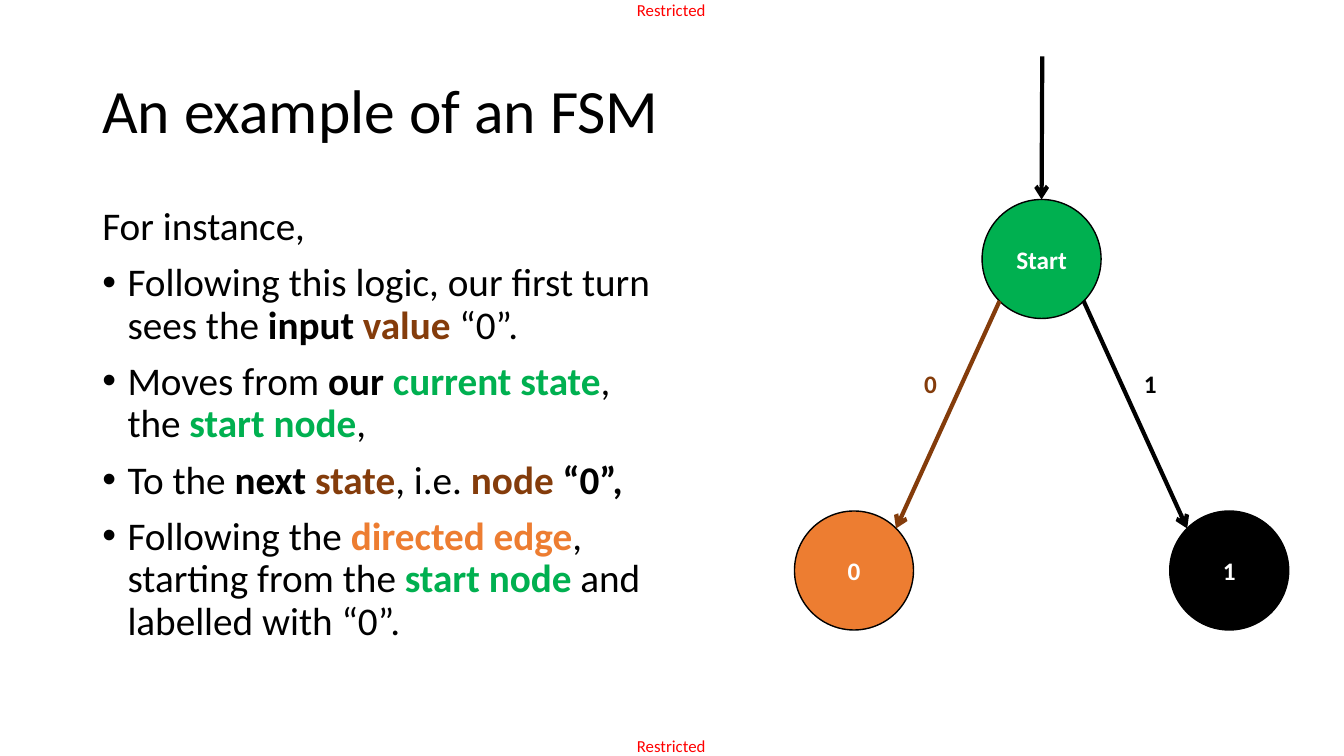
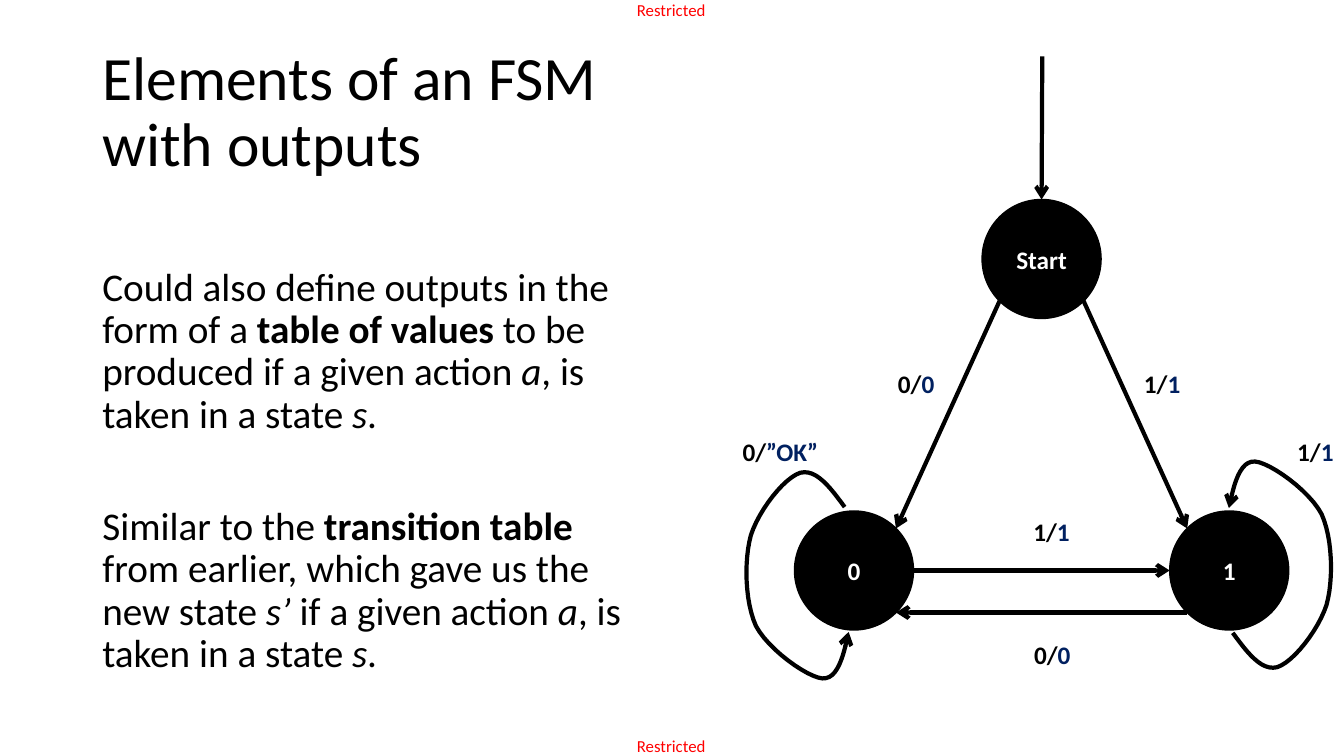
import pptx
import pptx.dml.color
import pptx.enum.shapes
import pptx.enum.text
import pptx.oxml.ns
import pptx.util
from lxml import etree

Pt = pptx.util.Pt
RGBColor = pptx.dml.color.RGBColor
qn = pptx.oxml.ns.qn
ALIGN = pptx.enum.text.PP_ALIGN
ANCHOR = pptx.enum.text.MSO_ANCHOR
SHAPE = pptx.enum.shapes.MSO_SHAPE
CONNECTOR = pptx.enum.shapes.MSO_CONNECTOR

BLACK = RGBColor(0x00, 0x00, 0x00)
WHITE = RGBColor(0xFF, 0xFF, 0xFF)
RED = RGBColor(0xFF, 0x00, 0x00)
GREEN = RGBColor(0x00, 0xB0, 0x50)
ORANGE = RGBColor(0xED, 0x7D, 0x31)
BROWN = RGBColor(0x84, 0x3C, 0x0B)
NAVY = RGBColor(0x00, 0x20, 0x60)

PLAIN = {}
BOLD = {"bold": True}
ITALIC = {"italic": True}
BOLD_GREEN = {"bold": True, "color": GREEN}
BOLD_ORANGE = {"bold": True, "color": ORANGE}
BOLD_BROWN = {"bold": True, "color": BROWN}
BOLD_NAVY = {"bold": True, "color": NAVY}

RADIUS = 42.5
DIAGONAL = 30
START = (744, 185)
ZERO = (610, 407.5)
ONE = (878, 407.5)
LABEL_WIDTH = 40.5

LOOP_START = (603.4, 362.2)
LOOP_CURVES = [
    [(593.3, 348.5), (583.2, 334.8), (571.7, 337.7)],
    [(560.2, 341.3), (542.2, 364.3), (536.4, 382.3)],
    [(531.4, 400.3), (532.1, 429.8), (540, 447.1)],
    [(548.6, 463.7), (576.7, 483.8), (587.5, 484.6)],
    [(598.3, 485.3), (602.6, 468.7), (606.2, 451.4)],
]
LOOP_CENTER = (742, 407.15)


def write(para, text, size=28, color=BLACK, bold=False, italic=False):
    for index, line in enumerate(text.split("\n")):
        if index:
            para.add_line_break()
        span = para.add_run()
        span.text = line
        font = span.font
        font.name = "Calibri"
        font.size = Pt(size)
        font.bold = bold
        font.italic = italic
        font.color.rgb = color


def shift(point, across, down):
    return point[0] + across, point[1] + down


def mirror(point):
    return tuple(2 * middle - value for middle, value in zip(LOOP_CENTER, point))


def curve_points(start, curves, steps=12):
    points = [start]
    for first, second, end in curves:
        corners = (points[-1], first, second, end)
        for step in range(1, steps + 1):
            t = step / steps
            weights = ((1 - t) ** 3, 3 * t * (1 - t) ** 2, 3 * t * t * (1 - t), t ** 3)
            points.append(tuple(
                sum(weight * corner[axis] for weight, corner in zip(weights, corners))
                for axis in (0, 1)))
    return points


class Pages:
    def __init__(self):
        self.deck = pptx.Presentation()
        self.deck.slide_width = Pt(960)
        self.deck.slide_height = Pt(540)
        self.page = None

    def add_page(self, title):
        self.page = self.deck.slides.add_slide(self.deck.slide_layouts[6])
        for top in (0, 525.6):
            frame = self.box(455, top, 52.6, 14.4, wrap=False, inset=0)
            write(frame.paragraphs[0], "Restricted", size=12, color=RED)
        frame = self.box(66, 28.8, 828, 104.4)
        frame.vertical_anchor = ANCHOR.MIDDLE
        frame.paragraphs[0].line_spacing = 0.9
        write(frame.paragraphs[0], title, size=44)

    def box(self, left, top, width, height, wrap=True, inset=None):
        frame = self.page.shapes.add_textbox(
            Pt(left), Pt(top), Pt(width), Pt(height)).text_frame
        frame.word_wrap = wrap
        if inset is not None:
            frame.margin_left = frame.margin_right = Pt(inset)
            frame.margin_top = frame.margin_bottom = Pt(inset)
        return frame

    def body(self, paragraphs, bullets_from, space=10, top_inset=3.6):
        frame = self.box(66, 144, 408, 396)
        frame.margin_top = Pt(top_inset)
        for index, spans in enumerate(paragraphs):
            para = frame.add_paragraph() if index else frame.paragraphs[0]
            para.line_spacing = 0.9
            para.space_before = Pt(space if index else 0)
            if index >= bullets_from:
                self.bullet(para)
            for text, style in spans:
                write(para, text, **style)

    def bullet(self, para):
        properties = para._p.get_or_add_pPr()
        properties.set("marL", str(Pt(18)))
        properties.set("indent", str(Pt(-18)))
        etree.SubElement(properties, qn("a:buFont")).set("typeface", "Arial")
        etree.SubElement(properties, qn("a:buChar")).set("char", "•")

    def node(self, center, text, fill=BLACK):
        left, top = shift(center, -RADIUS, -RADIUS)
        circle = self.page.shapes.add_shape(
            SHAPE.OVAL, Pt(left), Pt(top), Pt(2 * RADIUS), Pt(2 * RADIUS))
        circle.shadow.inherit = False
        circle.fill.solid()
        circle.fill.fore_color.rgb = fill
        circle.line.color.rgb = BLACK
        circle.line.width = Pt(1)
        circle.text_frame.vertical_anchor = ANCHOR.MIDDLE
        para = circle.text_frame.paragraphs[0]
        para.alignment = ALIGN.CENTER
        write(para, text, size=18, color=WHITE, bold=True)

    def arrow_line(self, line, color):
        line.color.rgb = color
        line.width = Pt(3)
        etree.SubElement(line._get_or_add_ln(), qn("a:tailEnd")).set("type", "arrow")

    def arrow(self, begin, end, color=BLACK):
        edge = self.page.shapes.add_connector(
            CONNECTOR.STRAIGHT, *(Pt(value) for value in begin + end))
        self.arrow_line(edge.line, color)
        etree.SubElement(edge._element.spPr, qn("a:effectLst"))

    def loop(self, points):
        places = [(Pt(across), Pt(down)) for across, down in points]
        builder = self.page.shapes.build_freeform(*places[0])
        builder.add_line_segments(places[1:], close=False)
        outline = builder.convert_to_shape()
        outline.shadow.inherit = False
        outline.fill.background()
        self.arrow_line(outline.line, BLACK)

    def label(self, left, top, spans, width=LABEL_WIDTH):
        frame = self.box(left, top, width, 29, wrap=False)
        for text, style in spans:
            write(frame.paragraphs[0], text, size=18, **style)

    def machine(self, start_fill=BLACK, zero_fill=BLACK, zero_edge=BLACK):
        self.arrow((744.5, 40.3), shift(START, 0, -RADIUS))
        self.node(START, "Start", start_fill)
        self.node(ZERO, "0", zero_fill)
        self.node(ONE, "1")
        for target, side, color in ((ONE, 1, BLACK), (ZERO, -1, zero_edge)):
            self.arrow(shift(START, side * DIAGONAL, DIAGONAL),
                       shift(target, -side * DIAGONAL, -DIAGONAL), color)


def example_page(pages):
    pages.add_page("An example of an FSM")
    pages.body([
        [("For instance,", PLAIN)],
        [("Following this logic, our first turn sees the ", PLAIN),
         ("input ", BOLD), ("value", BOLD_BROWN), (" “0”.", PLAIN)],
        [("Moves from ", PLAIN), ("our ", BOLD), ("current state", BOLD_GREEN),
         (", the ", PLAIN), ("start node", BOLD_GREEN), (",", PLAIN)],
        [("To the ", PLAIN), ("next ", BOLD), ("state", BOLD_BROWN),
         (", i.e. ", PLAIN), ("node", BOLD_BROWN), (" “0”,", BOLD)],
        [("Following the ", PLAIN), ("directed edge", BOLD_ORANGE),
         (", starting from the ", PLAIN), ("start node", BOLD_GREEN),
         (" and labelled with “0”.", PLAIN)],
    ], bullets_from=1)
    pages.machine(GREEN, ORANGE, BROWN)
    pages.label(810, 259.2, [("1", BOLD)], width=25)
    pages.label(653, 259.2, [("0", BOLD_BROWN)], width=25)


def outputs_page(pages):
    pages.add_page("Elements of an FSM\nwith outputs")
    pages.body([
        [("Could also define outputs in the form of a ", PLAIN),
         ("table of values ", BOLD), ("to be produced if a given action ", PLAIN),
         ("a", ITALIC), (", is taken in a state ", PLAIN), ("s", ITALIC), (".", PLAIN)],
        [("Similar to the ", PLAIN), ("transition table ", BOLD),
         ("from earlier, which gave us the new state ", PLAIN), ("s’", ITALIC),
         (" if a given action ", PLAIN), ("a", ITALIC),
         (", is taken in a state ", PLAIN), ("s", ITALIC), (".", PLAIN)],
    ], bullets_from=2, space=50, top_inset=47)
    pages.machine()
    pages.arrow(shift(ONE, -DIAGONAL, DIAGONAL), shift(ZERO, DIAGONAL, DIAGONAL))
    pages.arrow(shift(ZERO, RADIUS, 0), shift(ONE, -RADIUS, 0))
    zero_loop = curve_points(LOOP_START, LOOP_CURVES)
    pages.loop(zero_loop)
    pages.loop([mirror(point) for point in zero_loop])
    for left, top, action, output in (
            (810, 259.2, "1/", "1"), (634.3, 259.2, "0/", "0"),
            (731.5, 453, "0/", "0"), (731, 365, "1/", "1"),
            (919.5, 308.2, "1/", "1")):
        pages.label(left, top, [(action, BOLD), (output, BOLD_NAVY)])
    pages.label(523.4, 308.2, [("0/", BOLD), ("”OK”", BOLD_NAVY)], width=72)


def main():
    pages = Pages()
    example_page(pages)
    outputs_page(pages)
    pages.deck.save("out.pptx")


if __name__ == "__main__":
    main()
